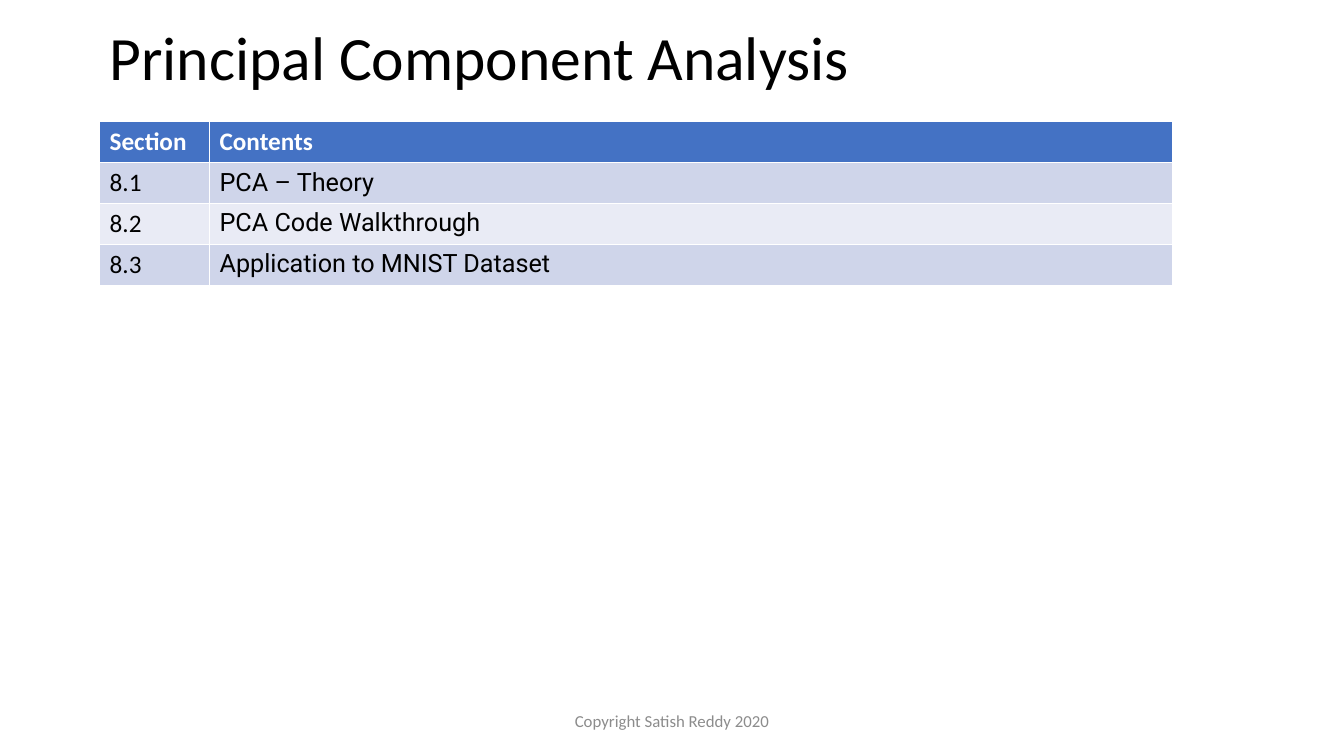
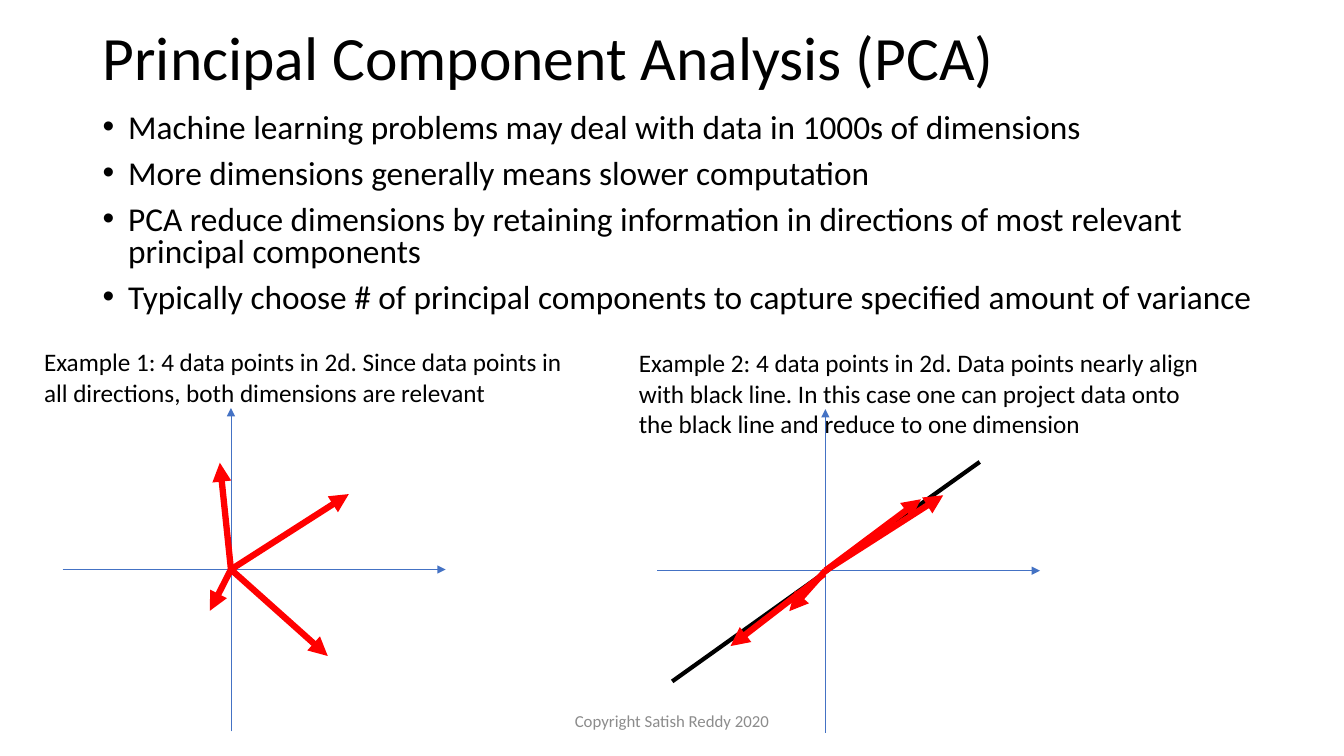
from dataclasses import dataclass

from lxml import etree
from pptx import Presentation
from pptx.dml.color import RGBColor
from pptx.enum import shapes, text
from pptx.oxml import ns
from pptx.util import Cm, Pt

# Shared look
BODY_FONT, TOPIC_FONT = "Calibri", "Roboto"
BLACK, WHITE, GREY = "000000", "FFFFFF", "8C8C8C"
BLUE, RED = "4472C4", "FF0000"
BANDS = ("CFD5EA", "E9EBF5")
TITLE_TOP, TITLE_HEIGHT = 0.3, 2.46
Point = tuple[float, float]


@dataclass(frozen=True)
class Box:
    left: float
    top: float
    width: float
    height: float

    def lengths(self) -> list[Cm]:
        return [Cm(v) for v in (self.left, self.top, self.width, self.height)]


@dataclass(frozen=True)
class Style:
    size: float
    color: str = BLACK
    bold: bool = False
    font: str = BODY_FONT
    align: text.PP_ALIGN = text.PP_ALIGN.LEFT
    line_spacing: float = 1.0
    space_before: float = 0
    bullet: bool = False


@dataclass(frozen=True)
class Stroke:
    color: str
    width: float
    arrow: bool = True


@dataclass(frozen=True)
class Vector:
    """A line whose ends are measured from the origin of its axes."""
    end: Point
    start: Point = (0, 0)
    stroke: Stroke = Stroke(RED, 4.5)


@dataclass(frozen=True)
class Example:
    caption: str
    caption_box: Box
    origin: Point
    vectors: tuple[Vector, ...]


TITLE = Style(44, line_spacing=0.9)
FOOTER = Style(12, GREY, align=text.PP_ALIGN.CENTER)
BULLET = Style(23.8, line_spacing=0.8, space_before=10, bullet=True)
CAPTION = Style(18)
HEADING = Style(18, WHITE, bold=True)
SECTION = Style(18)
TOPIC = Style(18, font=TOPIC_FONT)
AXIS = Stroke(BLUE, 0.5)
AXES = (Vector((0, -4.07), (0, 4.08), AXIS), Vector((5.41, 0), (-4.24, 0), AXIS))

# Content
CONTENTS = (
    ("Section", "Contents"),
    ("8.1", "PCA – Theory"),
    ("8.2", "PCA Code Walkthrough"),
    ("8.3", "Application to MNIST Dataset"),
)
POINTS = (
    "Machine learning problems may deal with data in 1000s of dimensions",
    "More dimensions generally means slower computation",
    "PCA reduce dimensions by retaining information in directions of most relevant "
    "principal components",
    "Typically choose # of principal components to capture specified amount of variance",
)
EXAMPLES = (
    Example(
        "Example 1: 4 data points in 2d. Since data points in all directions, "
        "both dimensions are relevant",
        Box(0.86, 8.61, 13.61, 1.8),
        (5.82, 14.35),
        (
            *AXES,
            Vector((2.97, -1.9)),
            Vector((2.44, 2.18)),
            Vector((-0.28, -2.69)),
            Vector((-0.53, 1.04)),
        ),
    ),
    Example(
        "Example 2: 4 data points in 2d. Data points nearly align with black line. "
        "In this case one can project data onto the black line and reduce to one dimension",
        Box(15.85, 8.64, 14.71, 2.57),
        (20.8, 14.38),
        (
            Vector((3.89, -2.74), (-3.86, 2.79), Stroke(BLACK, 3, arrow=False)),
            *AXES,
            Vector((2.97, -1.9)),
            Vector((-2.39, 1.9), (-0.03, 0.08)),
            Vector((2.41, -1.8)),
            Vector((-0.91, 1.02)),
        ),
    ),
)


# Drawing tools
def rgb(color: str) -> RGBColor:
    return RGBColor.from_string(color)


def add_bullet(paragraph) -> None:
    properties = paragraph._p.get_or_add_pPr()
    indent = Cm(0.64)
    properties.set("marL", str(indent))
    properties.set("indent", str(-indent))
    etree.SubElement(properties, ns.qn("a:buFont")).set("typeface", "Arial")
    etree.SubElement(properties, ns.qn("a:buChar")).set("char", "•")


def write(frame, lines: tuple[str, ...], style: Style) -> None:
    for index, line in enumerate(lines):
        paragraph = frame.add_paragraph() if index else frame.paragraphs[0]
        paragraph.text = line
        paragraph.alignment = style.align
        paragraph.line_spacing = style.line_spacing
        paragraph.space_before = Pt(style.space_before)
        if style.bullet:
            add_bullet(paragraph)
        font = paragraph.font
        font.name, font.size, font.bold = style.font, Pt(style.size), style.bold
        font.color.rgb = rgb(style.color)


def add_text(slide, box: Box, lines: tuple[str, ...], style: Style,
             anchor: text.MSO_ANCHOR = text.MSO_ANCHOR.TOP) -> None:
    frame = slide.shapes.add_textbox(*box.lengths()).text_frame
    frame.word_wrap = True
    frame.vertical_anchor = anchor
    write(frame, lines, style)


def add_vector(slide, origin: Point, vector: Vector) -> None:
    ends = [Cm(base + offset)
            for point in (vector.start, vector.end)
            for base, offset in zip(origin, point)]
    connector = slide.shapes.add_connector(shapes.MSO_CONNECTOR.STRAIGHT, *ends)
    connector.line.color.rgb = rgb(vector.stroke.color)
    connector.line.width = Pt(vector.stroke.width)
    if vector.stroke.arrow:
        line = connector.line._get_or_add_ln()
        etree.SubElement(line, ns.qn("a:tailEnd")).set("type", "triangle")
    etree.SubElement(connector._element.spPr, ns.qn("a:effectLst"))


def add_example(slide, example: Example) -> None:
    for vector in example.vectors:
        add_vector(slide, example.origin, vector)
    add_text(slide, example.caption_box, (example.caption,), CAPTION)


def add_contents(slide, left: float, top: float) -> None:
    widths, row_height = (2.77, 24.27), 1.03
    box = Box(left, top, sum(widths), row_height * len(CONTENTS))
    table = slide.shapes.add_table(len(CONTENTS), len(widths), *box.lengths()).table
    for column, width in zip(table.columns, widths):
        column.width = Cm(width)
    for row, entries in enumerate(CONTENTS):
        styles = (SECTION, TOPIC) if row else (HEADING, HEADING)
        fill = BANDS[(row - 1) % 2] if row else BLUE
        for column, (entry, style) in enumerate(zip(entries, styles)):
            cell = table.cell(row, column)
            cell.fill.solid()
            cell.fill.fore_color.rgb = rgb(fill)
            write(cell.text_frame, (entry,), style)


def add_slide(deck, title: str, left: float, width: float):
    slide = deck.slides.add_slide(deck.slide_layouts[6])
    middle = text.MSO_ANCHOR.MIDDLE
    add_text(slide, Box(left, TITLE_TOP, width, TITLE_HEIGHT), (title,), TITLE, middle)
    add_text(slide, Box(11.22, 17.65, 11.43, 1.01),
             ("Copyright Satish Reddy 2020",), FOOTER, middle)
    return slide


def main() -> None:
    deck = Presentation()
    deck.slide_width, deck.slide_height = Cm(33.87), Cm(19.05)

    # Section overview
    overview = add_slide(deck, "Principal Component Analysis", 2.51, 24.33)
    add_contents(overview, 2.51, 3.07)

    # Motivation with two examples
    motivation = add_slide(deck, "Principal Component Analysis (PCA)", 2.34, 29.21)
    add_text(motivation, Box(2.34, 2.74, 30.68, 5.89), POINTS, BULLET)
    for example in EXAMPLES:
        add_example(motivation, example)

    deck.save("out.pptx")


if __name__ == "__main__":
    main()
